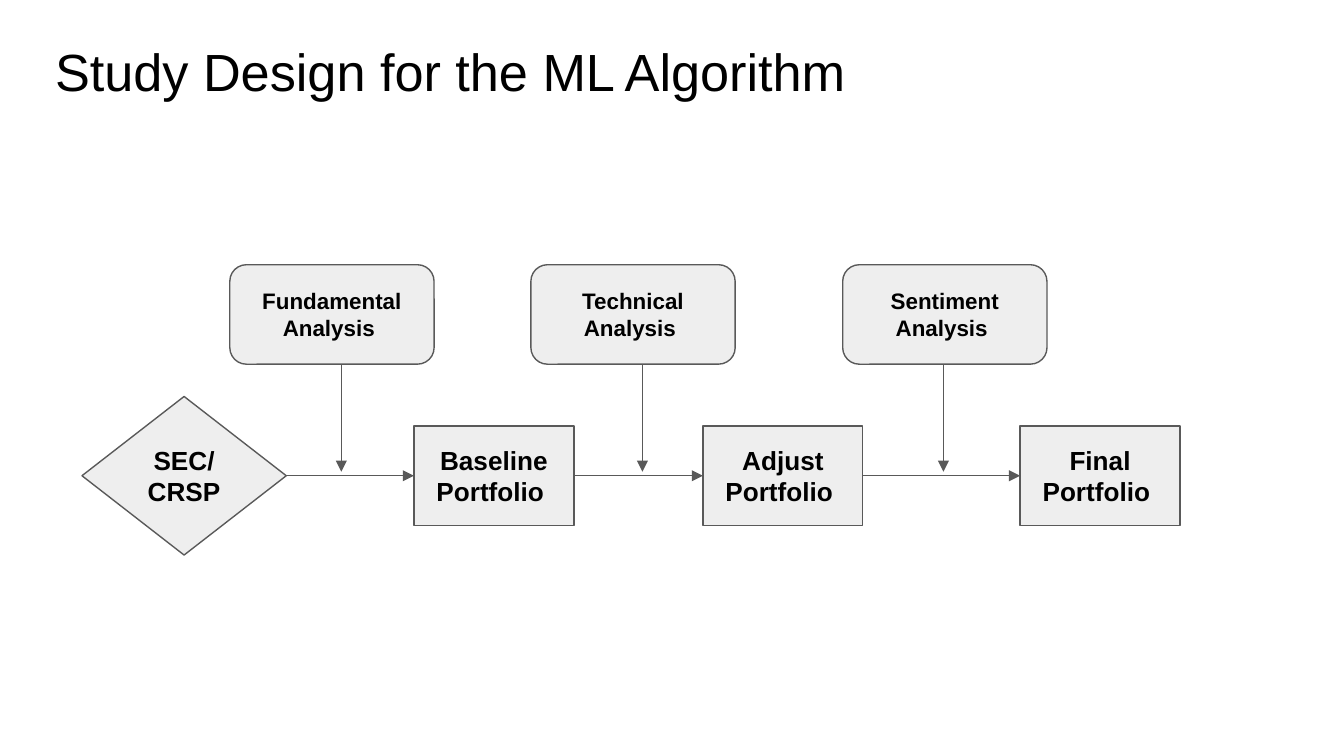
from dataclasses import dataclass

from lxml import etree
from pptx import Presentation
from pptx.dml.color import RGBColor
from pptx.enum.shapes import MSO_CONNECTOR, MSO_SHAPE
from pptx.enum.text import MSO_ANCHOR, MSO_AUTO_SIZE, PP_ALIGN
from pptx.oxml.ns import qn
from pptx.util import Inches, Pt

RECTANGLE = MSO_SHAPE.RECTANGLE
ROUNDED = MSO_SHAPE.ROUNDED_RECTANGLE
DIAMOND = MSO_SHAPE.DIAMOND
STRAIGHT = MSO_CONNECTOR.STRAIGHT
TOP, MIDDLE = MSO_ANCHOR.TOP, MSO_ANCHOR.MIDDLE
LEFT, CENTER = PP_ALIGN.LEFT, PP_ALIGN.CENTER
NO_AUTOFIT = MSO_AUTO_SIZE.NONE
LEFT_SIDE, RIGHT_SIDE = 1, 3


@dataclass(frozen=True)
class Theme:
    font: str = "Arial"
    text: RGBColor = RGBColor(0x00, 0x00, 0x00)
    fill: RGBColor = RGBColor(0xEE, 0xEE, 0xEE)
    line: RGBColor = RGBColor(0x59, 0x59, 0x59)
    line_width: float = 0.75
    title_size: int = 28
    step_size: int = 14
    analysis_size: int = 12


def write_text(shape, text, *, theme, size, bold=False, align=LEFT, anchor=TOP):
    frame = shape.text_frame
    frame.text = text
    frame.word_wrap = True
    frame.auto_size = NO_AUTOFIT
    frame.vertical_anchor = anchor
    frame.margin_left = frame.margin_right = Inches(0.1)
    frame.margin_top = frame.margin_bottom = Inches(0.1)
    for paragraph in frame.paragraphs:
        paragraph.alignment = align
        font = paragraph.runs[0].font
        font.name = theme.font
        font.size = Pt(size)
        font.bold = bold
        font.color.rgb = theme.text


class SlideBuilder:
    def __init__(self, slide, theme):
        self.slide = slide
        self.theme = theme

    def title(self, text, left, top, width, height):
        shape = self.slide.shapes.title
        shape.left, shape.top = Inches(left), Inches(top)
        shape.width, shape.height = Inches(width), Inches(height)
        write_text(shape, text, theme=self.theme, size=self.theme.title_size)

    def box(self, kind, text, left, top, width, height, size):
        shape = self.slide.shapes.add_shape(
            kind, Inches(left), Inches(top), Inches(width), Inches(height)
        )
        shape.shadow.inherit = False
        shape.fill.solid()
        shape.fill.fore_color.rgb = self.theme.fill
        self.outline(shape)
        write_text(shape, text, theme=self.theme, size=size, bold=True,
                   align=CENTER, anchor=MIDDLE)
        return shape

    def outline(self, shape):
        shape.line.color.rgb = self.theme.line
        shape.line.width = Pt(self.theme.line_width)

    def arrow(self, start_x, start_y, end_x, end_y):
        connector = self.slide.shapes.add_connector(
            STRAIGHT, Inches(start_x), Inches(start_y), Inches(end_x), Inches(end_y)
        )
        self.outline(connector)
        etree.SubElement(connector.line._get_or_add_ln(), qn("a:tailEnd"), type="triangle")
        etree.SubElement(connector._element.spPr, qn("a:effectLst"))
        return connector

    def join(self, source, target):
        connector = self.arrow(0, 0, 1, 0)
        connector.begin_connect(source, RIGHT_SIDE)
        connector.end_connect(target, LEFT_SIDE)


def main():
    presentation = Presentation()
    presentation.slide_width = Inches(10)
    presentation.slide_height = Inches(10 * 9 / 16)
    slide = presentation.slides.add_slide(presentation.slide_layouts[5])
    theme = Theme()
    builder = SlideBuilder(slide, theme)
    builder.title("Study Design for the ML Algorithm", 0.31, 0.19, 6.17, 0.63)

    flow_y = 3.54
    box_height = 0.74
    source_height = 1.18
    previous = builder.box(DIAMOND, "SEC/\nCRSP", 0.61, flow_y - source_height / 2,
                           1.52, source_height, theme.step_size)
    for name, left in (("Baseline", 3.08), ("Adjust", 5.23), ("Final", 7.59)):
        step = builder.box(RECTANGLE, f"{name} Portfolio ", left, flow_y - box_height / 2,
                           1.19, box_height, theme.step_size)
        builder.join(previous, step)
        previous = step

    analyses = (("Fundamental", 1.71), ("Technical", 3.95), ("Sentiment", 6.27))
    for index, (name, left) in enumerate(analyses):
        arrow_x = 2.54 + 2.24 * index
        builder.arrow(arrow_x, 2.67, arrow_x, 3.51)
        builder.box(ROUNDED, f"{name}\nAnalysis ", left, 1.97, 1.52, box_height,
                    theme.analysis_size)

    presentation.save("out.pptx")


if __name__ == "__main__":
    main()
